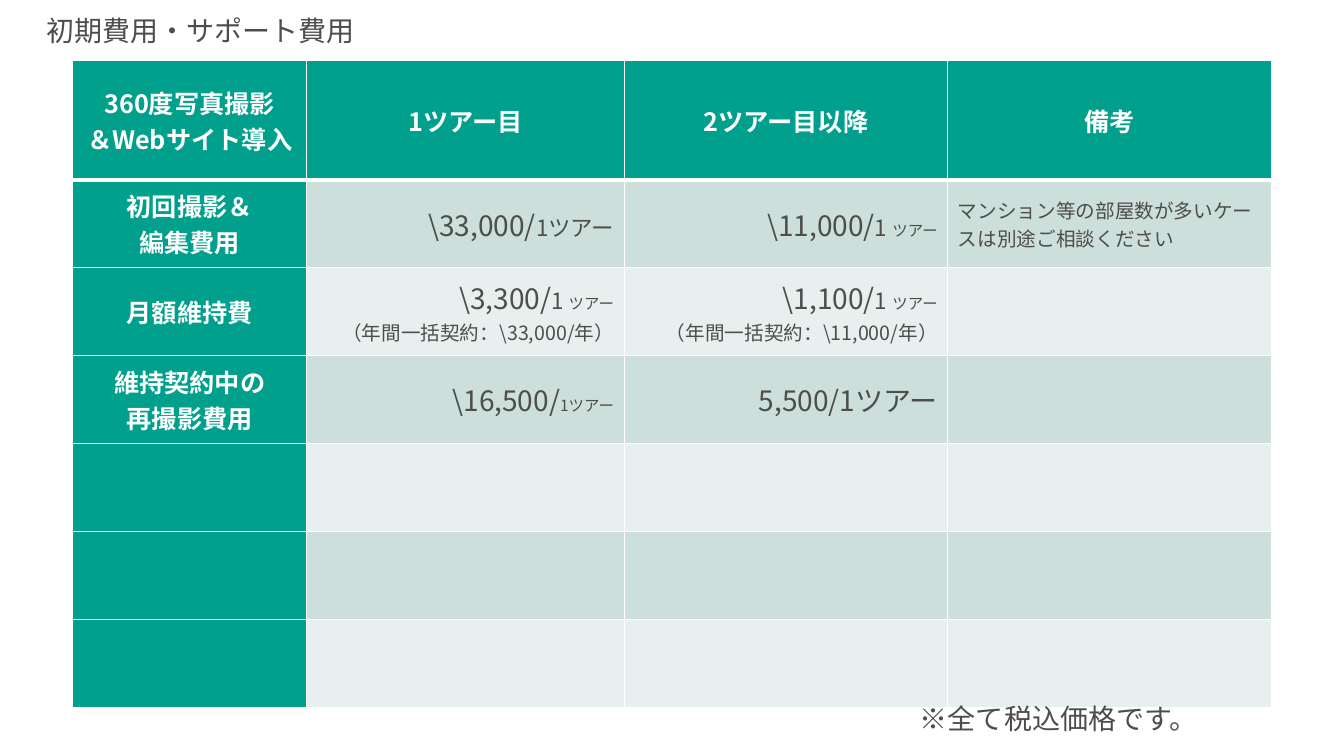
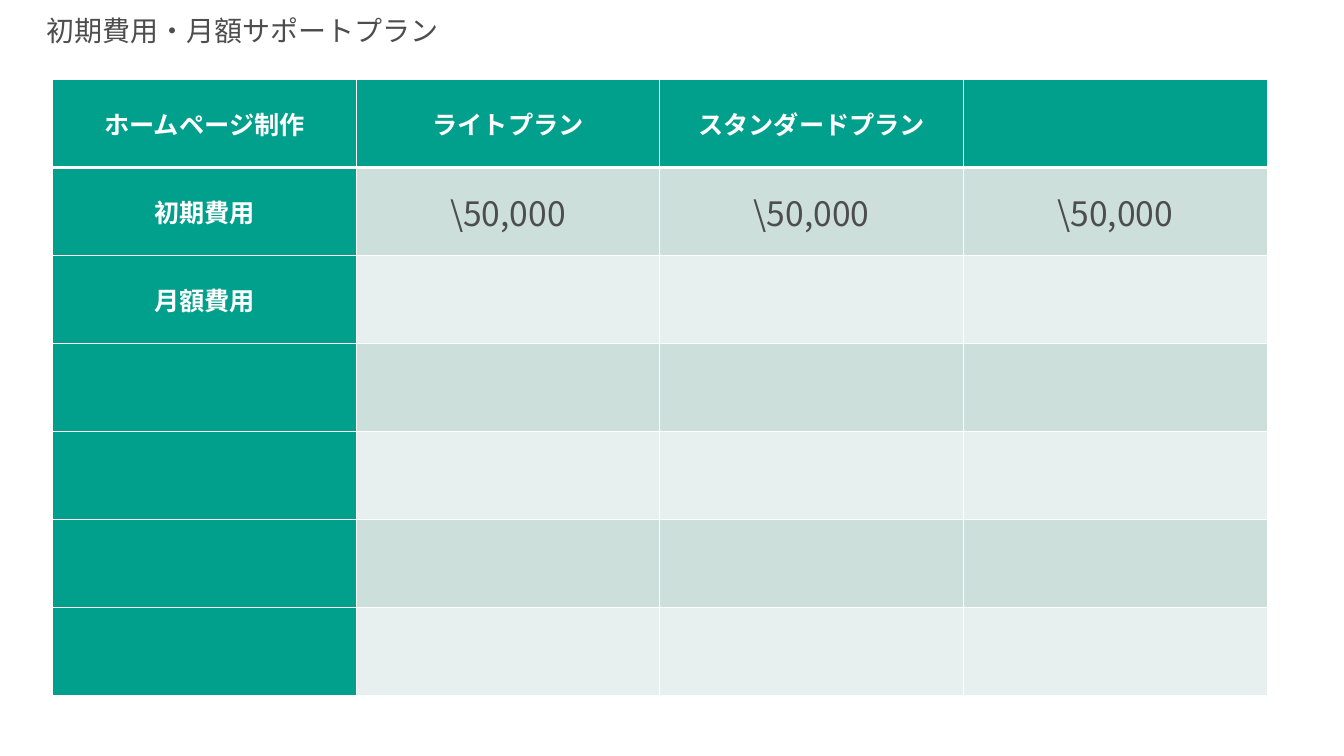
"""Build two price list slides, each with a title and a striped table."""
from dataclasses import dataclass

from lxml.etree import SubElement
from pptx import Presentation
from pptx.dml.color import RGBColor
from pptx.enum.text import MSO_ANCHOR, PP_ALIGN
from pptx.oxml.ns import qn
from pptx.util import Pt


@dataclass(frozen=True)
class Theme:
    font: str = "Noto Sans CJK JP"
    text: str = "4D4D4D"
    white: str = "FFFFFF"
    head: str = "00A08C"
    bands: tuple = ("E7F0EE", "CCDFDA")
    title: int = 20
    label: int = 18
    price: int = 20
    plan: int = 24
    unit: int = 16
    note: int = 14
    small: int = 11
    rule: int = 1
    head_rule: int = 3


T = Theme()
LEFT, CENTER, RIGHT = PP_ALIGN.LEFT, PP_ALIGN.CENTER, PP_ALIGN.RIGHT
ROW_H, ROWS = 62.85, 7


def add_run(p, text, size, color, bold=False):
    r = p.add_run()
    r.text = text
    r.font.size = Pt(size)
    r.font.bold = bold
    r.font.name = T.font
    r.font.color.rgb = RGBColor.from_string(color)
    SubElement(r.font._element, qn("a:ea")).set("typeface", T.font)


def add_line(s, text, x, y, w, h):
    tf = s.shapes.add_textbox(Pt(x), Pt(y), Pt(w), Pt(h)).text_frame
    tf.word_wrap = True
    tf.margin_top = tf.margin_bottom = Pt(3)
    p = tf.paragraphs[0]
    p.line_spacing = 0.9
    add_run(p, text, T.title, T.text)


tour_unit = [("1 ", T.unit), ("ツアー", T.small)]
plan_price = [[("\\50,000", T.plan)]]

slides = [
    {
        "title": "初期費用・サポート費用",
        "at": (52, 43.4),
        "head_h": 85,
        "cols": (167, 226.9, 231.2, 231.2),
        "align": (CENTER, RIGHT, RIGHT, LEFT),
        "head": ["360度写真撮影\n＆Webサイト導入", "1ツアー目", "2ツアー目以降", "備考"],
        "labels": ["初回撮影＆\n編集費用", "月額維持費", "維持契約中の\n再撮影費用"],
        "body": {
            (1, 1): [[("\\33,000/", T.price), ("1ツアー", T.unit)]],
            (1, 2): [[("\\11,000/", T.price), *tour_unit]],
            (1, 3): [[("マンション等の部屋数が多いケースは別途ご相談ください", T.note)]],
            (2, 1): [[("\\3,300/", T.price), *tour_unit],
                     [("（年間一括契約：\\33,000/年）", T.note)]],
            (2, 2): [[("\\1,100/", T.price), *tour_unit],
                     [("（年間一括契約：\\11,000/年）", T.note)]],
            (3, 1): [[("\\16,500/", T.price), ("1ツアー", T.small)]],
            (3, 2): [[("5,500/1ツアー", T.price)]],
        },
        "footnote": "※全て税込価格です。",
    },
    {
        "title": "初期費用・月額サポートプラン",
        "at": (37.6, 56.9),
        "head_h": ROW_H,
        "cols": (216.9,) * 4,
        "align": (CENTER,) * 4,
        "head": ["ホームページ制作", "ライトプラン", "スタンダードプラン", ""],
        "labels": ["初期費用", "月額費用"],
        "body": {(1, j): plan_price for j in (1, 2, 3)},
        "footnote": "",
    },
]

prs = Presentation()
prs.slide_width, prs.slide_height = Pt(960), Pt(540)

for data in slides:
    s = prs.slides.add_slide(prs.slide_layouts[6])
    add_line(s, data["title"], 26, 9.4, 907, 51)

    x, y = data["at"]
    cols = data["cols"]
    heights = [data["head_h"]] + [ROW_H] * (ROWS - 1)
    table = s.shapes.add_table(ROWS, len(cols), Pt(x), Pt(y),
                               Pt(sum(cols)), Pt(sum(heights))).table
    for column, width in zip(table.columns, cols):
        column.width = Pt(width)
    for row, height in zip(table.rows, heights):
        row.height = Pt(height)

    labels = {(0, j): text for j, text in enumerate(data["head"])}
    labels.update({(i, 0): text for i, text in enumerate(data["labels"], 1)})
    content = dict(data["body"])
    for key, text in labels.items():
        content[key] = [[(line, T.label)] for line in text.split("\n") if line]

    for i in range(ROWS):
        for j in range(len(cols)):
            cell = table.cell(i, j)
            is_head = i == 0 or j == 0
            cell.vertical_anchor = MSO_ANCHOR.MIDDLE
            tcPr = cell._tc.get_or_add_tcPr()
            for side in "LRTB":
                thick = (i, side) in ((0, "B"), (1, "T"))
                width = T.head_rule if thick else T.rule
                ln = SubElement(tcPr, qn(f"a:ln{side}"), w=str(Pt(width)))
                fill = SubElement(ln, qn("a:solidFill"))
                SubElement(fill, qn("a:srgbClr"), val=T.white)
            cell.fill.solid()
            cell.fill.fore_color.rgb = RGBColor.from_string(
                T.head if is_head else T.bands[i % 2])

            tf = cell.text_frame
            for n, runs in enumerate(content.get((i, j), [])):
                p = tf.add_paragraph() if n else tf.paragraphs[0]
                p.alignment = CENTER if is_head else data["align"][j]
                for text, size in runs:
                    add_run(p, text, size, T.white if is_head else T.text, is_head)

    if data["footnote"]:
        add_line(s, data["footnote"], 650, 501, 284, 30)

prs.save("out.pptx")
